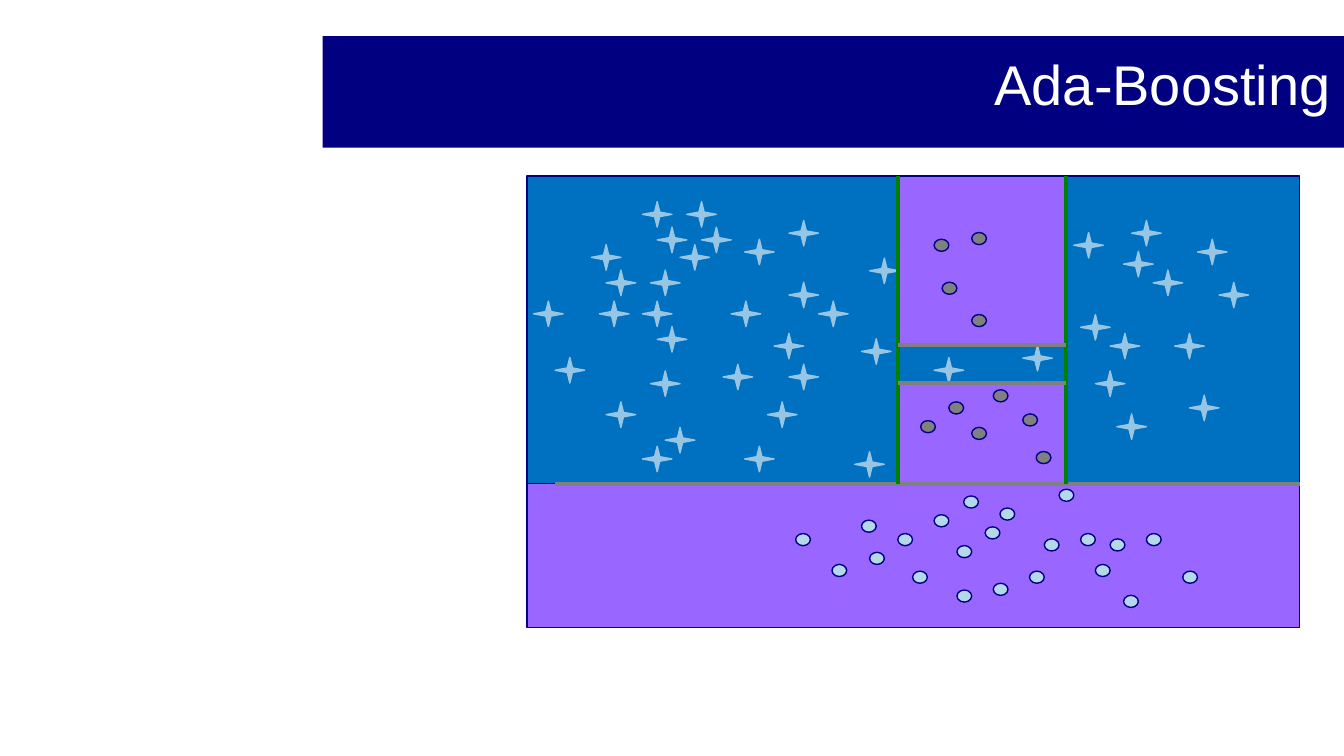
from pptx import Presentation
from pptx.dml.color import RGBColor
from pptx.enum.shapes import MSO_CONNECTOR, MSO_SHAPE
from pptx.enum.text import MSO_ANCHOR, PP_ALIGN
from pptx.oxml.ns import qn
from pptx.util import Inches, Pt

NAVY = RGBColor(0x00, 0x00, 0x80)
WHITE = RGBColor(0xFF, 0xFF, 0xFF)
BLUE = RGBColor(0x00, 0x70, 0xC0)
PURPLE = RGBColor(0x99, 0x66, 0xFF)
PALE_BLUE = RGBColor(0xB4, 0xD7, 0xEB)
STAR_BLUE = RGBColor(0x97, 0xC6, 0xE4)
GRAY = RGBColor(0x80, 0x80, 0x80)
GREEN = RGBColor(0x00, 0x80, 0x00)

SLIDE_WIDTH = Inches(10)
SLIDE_HEIGHT = SLIDE_WIDTH * 9 // 16

LEFT, RIGHT = 3.92, 9.67
TOP, SPLIT, BOTTOM = 1.31, 3.6, 4.67
STRIP_LEFT, STRIP_RIGHT = 6.68, 7.93
BAND_TOP, BAND_BOTTOM = 2.57, 2.85

DOT_SIZE = (0.11, 0.09)
STAR_SIZE = (0.22, 0.19)

REGIONS = [
    (LEFT, TOP, RIGHT, SPLIT, BLUE),
    (STRIP_LEFT, TOP, STRIP_RIGHT, SPLIT, PURPLE),
    (STRIP_LEFT, BAND_TOP, STRIP_RIGHT, BAND_BOTTOM, BLUE),
    (LEFT, SPLIT, RIGHT, BOTTOM, PURPLE),
]

PALE_DOTS = [
    (6.41, 3.87), (6.47, 4.11), (7.44, 3.78), (7.12, 4.06), (7.33, 3.92),
    (6.95, 3.83), (5.92, 3.97), (6.79, 4.25), (7.12, 4.39), (6.19, 4.2),
    (7.39, 4.34), (7.77, 4.01), (7.88, 3.64), (8.04, 3.97), (8.26, 4.01),
    (8.15, 4.2), (8.53, 3.97), (7.66, 4.25), (6.68, 3.97), (7.17, 3.69),
    (8.36, 4.43), (8.8, 4.25),
]

GRAY_DOTS = [
    (7.23, 2.34), (7.71, 3.36), (7.39, 2.9), (6.85, 3.13), (7.23, 3.18),
    (7.06, 2.99), (7.01, 2.1), (7.23, 1.73), (7.61, 3.08), (6.95, 1.78),
]

STARS = [
    (8.26, 2.48), (8.04, 2.34), (7.61, 2.57), (8.74, 2.48), (5.87, 2.71),
    (5.44, 2.24), (6.95, 2.66), (5.38, 2.71), (8.31, 3.08), (8.15, 2.76),
    (4.84, 2.76), (4.46, 2.24), (4.13, 2.66), (4.78, 2.24), (4.89, 2.43),
    (5.06, 1.82), (5.54, 1.78), (5.87, 2.1), (5.11, 1.5), (5.22, 1.69),
    (6.09, 2.24), (4.4, 1.82), (4.51, 2.01), (6.41, 2.52), (4.84, 2.01),
    (8.58, 2.01), (5.71, 2.99), (4.78, 1.5), (4.89, 1.69), (8.42, 1.64),
    (6.36, 3.36), (6.47, 1.92), (5.54, 3.32), (5.76, 2.48), (8.36, 1.87),
    (5.87, 1.64), (7.99, 1.73), (3.97, 2.24), (4.78, 3.32), (8.91, 1.78),
    (4.51, 2.99), (9.07, 2.1), (8.85, 2.94), (4.95, 3.18),
]

BOUNDARIES = [
    (4.13, SPLIT, RIGHT, SPLIT, GRAY),
    (STRIP_RIGHT, TOP, STRIP_RIGHT, SPLIT, GREEN),
    (STRIP_LEFT, TOP, STRIP_LEFT, SPLIT, GREEN),
    (STRIP_LEFT, BAND_BOTTOM, STRIP_RIGHT, BAND_BOTTOM, GRAY),
    (STRIP_LEFT, BAND_TOP, STRIP_RIGHT, BAND_TOP, GRAY),
]


def set_attributes(target, values):
    for name, value in values.items():
        setattr(target, name, value)


def add_filled_shape(shapes, kind, left, top, width, height, fill, line=None):
    shape = shapes.add_shape(
        kind, Inches(left), Inches(top), Inches(width), Inches(height)
    )
    shape.shadow.inherit = False
    shape.fill.solid()
    shape.fill.fore_color.rgb = fill
    if line is None:
        shape.line.fill.background()
    else:
        shape.line.color.rgb = line
        shape.line.width = Pt(0.75)
    return shape


def add_title(slide, text):
    shape = add_filled_shape(
        slide.shapes, MSO_SHAPE.RECTANGLE, 2.4, 0.27, 7.6, 0.83, NAVY
    )
    frame = shape.text_frame
    set_attributes(frame, {
        "margin_left": Inches(0.1),
        "margin_top": Inches(0.1),
        "margin_right": Inches(0.1),
        "margin_bottom": Inches(0.17),
        "word_wrap": True,
        "vertical_anchor": MSO_ANCHOR.MIDDLE,
    })
    paragraph = frame.paragraphs[0]
    set_attributes(paragraph, {"alignment": PP_ALIGN.RIGHT, "line_spacing": 0.9})
    run = paragraph.add_run()
    run.text = text
    set_attributes(run.font, {"name": "Arial", "size": Pt(30)})
    run.font.color.rgb = WHITE


def add_region(shapes, left, top, right, bottom, fill):
    add_filled_shape(
        shapes, MSO_SHAPE.RECTANGLE, left, top, right - left, bottom - top, fill, NAVY
    )


def add_dots(shapes, positions, fill):
    for left, top in positions:
        add_filled_shape(shapes, MSO_SHAPE.OVAL, left, top, *DOT_SIZE, fill, NAVY)


def add_stars(shapes, positions):
    for left, top in positions:
        star = add_filled_shape(
            shapes, MSO_SHAPE.STAR_4_POINT, left, top, *STAR_SIZE, STAR_BLUE, STAR_BLUE
        )
        star.adjustments[0] = 0.125


def add_boundary(shapes, start_x, start_y, end_x, end_y, color):
    points = [Inches(value) for value in (start_x, start_y, end_x, end_y)]
    connector = shapes.add_connector(MSO_CONNECTOR.STRAIGHT, *points)
    connector.line.color.rgb = color
    connector.line.width = Pt(2.25)
    properties = connector._element.spPr
    properties.append(properties.makeelement(qn("a:effectLst"), {}))


def main():
    presentation = Presentation()
    set_attributes(
        presentation, {"slide_width": SLIDE_WIDTH, "slide_height": SLIDE_HEIGHT}
    )
    slide = presentation.slides.add_slide(presentation.slide_layouts[6])
    add_title(slide, "Ada-Boosting")

    shapes = slide.shapes.add_group_shape().shapes
    for region in REGIONS:
        add_region(shapes, *region)
    add_dots(shapes, PALE_DOTS, PALE_BLUE)
    add_dots(shapes, GRAY_DOTS, GRAY)
    add_stars(shapes, STARS)
    for boundary in BOUNDARIES:
        add_boundary(shapes, *boundary)

    presentation.save("out.pptx")


if __name__ == "__main__":
    main()
